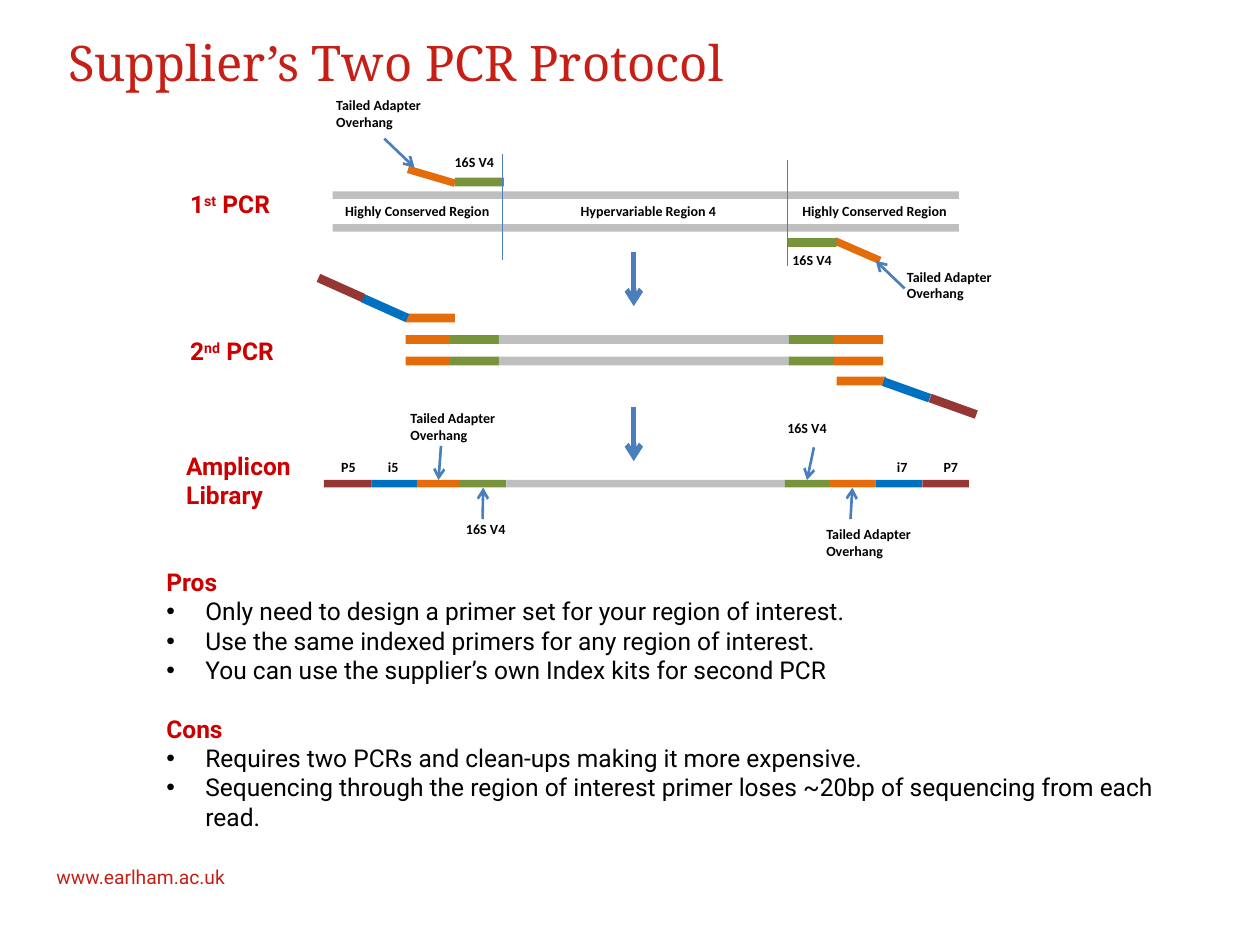
import pptx
import pptx.util
import pptx.dml.color
import pptx.enum.shapes
import pptx.enum.text
import pptx.oxml.ns
from lxml import etree


class Theme:
    red, title, black, line = "CC0000", "C61F16", "000000", "4B7EBC"
    bar = {"grey": "BFBFBF", "orange": "E46C0A", "green": "77933C",
           "blue": "0070C0", "maroon": "953735"}
    serif, sans, small = "Noto Serif", "Roboto", "Calibri"
    big, body, foot, tag = 28, 14, 11, 8


# Content: all places are in columns and rows of a 100 by 75 grid
COLS, ROWS = 100, 75
TITLE = "Supplier’s Two PCR Protocol"
SITE = "www.earlham.ac.uk"
NOTES = [
    ("Pros", ["Only need to design a primer set for your region of interest.",
              "Use the same indexed primers for any region of interest.",
              "You can use the supplier’s own Index kits for second PCR"]),
    ("Cons", ["Requires two PCRs and clean-ups making it more expensive.",
              "Sequencing through the region of interest primer loses ~20bp "
              "of sequencing from each read."]),
]

# Step names: parts (text, raised?), left, top, width, height
STEPS = [
    ([[("1", 0), ("st", 1), (" PCR", 0)]], 14.1, 14.5, 9.2, 3.4),
    ([[("2", 0), ("nd", 1), (" PCR", 0)]], 14.1, 26.2, 9.2, 3.4),
    ([[("Amplicon", 0)], [("Library", 0)]], 13.8, 35.3, 12.3, 5.7),
]

# Strands: left, tops, height, then pieces (colour, width) end to end
INSERT = [("orange", 3.5), ("green", 3.9), ("grey", 23),
          ("green", 3.6), ("orange", 3.9)]
LIBRARY = [("maroon", 3.8), ("blue", 3.6), ("orange", 3.4), ("green", 3.7),
           ("grey", 22.1), ("green", 3.5), ("orange", 3.7), ("blue", 3.7),
           ("maroon", 3.7)]
STRANDS = [
    (26.4, (15.2, 17.8), 0.6, [("grey", 49.7)]),
    (32.2, (26.6, 28.3), 0.7, INSERT),
    (25.7, (38.1,), 0.6, LIBRARY),
]

# Primers: colour, left, top, height, turn; all of one width
PRIMER = 3.9
PRIMERS = [
    ("orange", 32.3, 13.7, 0.6, 16.4), ("green", 36.1, 14.1, 0.7, 0),
    ("orange", 66.1, 19.6, 0.6, 23.5), ("green", 62.5, 18.9, 0.7, 0),
    ("orange", 32.2, 24.9, 0.7, 0), ("orange", 66.4, 29.9, 0.7, 0),
    ("blue", 28.6, 24.1, 0.7, 24.1), ("maroon", 25.1, 22.5, 0.7, 24.1),
    ("blue", 70, 30.6, 0.7, 19.7), ("maroon", 73.7, 31.9, 0.7, 19.7),
]

# Tags: text, width, height, places
TAGS = [
    ("Tailed Adapter Overhang", 13, 3.7,
     [(25.7, 7.2), (71, 20.8), (31.6, 32), (64.6, 41.2)]),
    ("16S V4", 6.3, 2.4,
     [(35.1, 11.7), (61.9, 19.5), (36, 40.8), (61.5, 32.8)]),
    ("Highly Conserved Region", 14.2, 2.4, [(26.4, 15.6), (62.7, 15.6)]),
    ("Hypervariable Region 4", 21.3, 2.4, [(45.1, 15.6)]),
    ("P5", 4.9, 2.4, [(26.1, 35.9)]), ("i5", 4.9, 2.4, [(29.8, 35.9)]),
    ("i7", 4.9, 2.4, [(70.2, 35.9)]), ("P7", 4.9, 2.4, [(73.9, 35.9)]),
]

# Lines: start, end, weight, arrow?
LINES = [
    ((39.9, 12.2), (39.9, 20.6), 0.75, False),
    ((62.5, 12.7), (62.5, 21.1), 0.75, False),
    ((30.5, 11), (32.9, 13.3), 1.5, True),
    ((71.8, 22.9), (69.5, 20.7), 1.5, True),
    ((50.3, 20), (50.3, 24.3), 3, True),
    ((50.3, 32.3), (50.3, 36.6), 3, True),
]
# Pointers: start, library piece, side of that piece
POINTS = [((35, 35.4), 2, 0), ((38.3, 41.2), 3, 2),
          ((64.6, 35.5), 5, 0), ((67.5, 41.2), 6, 2)]

deck = pptx.Presentation()
deck.slide_width = pptx.util.Inches(10)
deck.slide_height = pptx.util.Inches(7.5)
slide = deck.slides.add_slide(deck.slide_layouts[1])
shapes = slide.shapes


def gx(col):
    return round(deck.slide_width * col / COLS)


def gy(row):
    return round(deck.slide_height * row / ROWS)


def rgb(code):
    return pptx.dml.color.RGBColor.from_string(code)


def style(par, face, size, tint, bold=False):
    font = par.font
    font.name, font.size, font.bold = face, pptx.util.Pt(size), bold
    font.color.rgb = rgb(tint)


def place(box, x, y, w, h):
    box.left, box.top, box.width, box.height = gx(x), gy(y), gx(w), gy(h)
    frame = box.text_frame
    frame.word_wrap = True
    frame.auto_size = pptx.enum.text.MSO_AUTO_SIZE.NONE
    frame.vertical_anchor = pptx.enum.text.MSO_ANCHOR.TOP
    return frame


def text(x, y, w, h):
    return place(shapes.add_textbox(0, 0, 0, 0), x, y, w, h)


def bar(hue, x, y, w, h, turn=0):
    rect = shapes.add_shape(pptx.enum.shapes.MSO_SHAPE.RECTANGLE,
                            gx(x), gy(y), gx(w), gy(h))
    rect.rotation = turn
    rect.shadow.inherit = False
    rect.fill.solid()
    rect.fill.fore_color.rgb = rgb(Theme.bar[hue])
    rect.line.fill.background()
    return rect


def link(start, end, weight, arrow):
    line = shapes.add_connector(pptx.enum.shapes.MSO_CONNECTOR.STRAIGHT,
                                gx(start[0]), gy(start[1]),
                                gx(end[0]), gy(end[1]))
    line.line.color.rgb = rgb(Theme.line)
    line.line.width = pptx.util.Pt(weight)
    qn = pptx.oxml.ns.qn
    if arrow:
        etree.SubElement(line.line._get_or_add_ln(), qn("a:tailEnd"), type="arrow")
    etree.SubElement(line._element.spPr, qn("a:effectLst"))
    return line


def bullet(par, mark):
    props = par._p.get_or_add_pPr()
    inset = pptx.util.Inches(0.31) if mark else 0
    props.set("marL", str(inset))
    props.set("indent", str(-inset))
    kind = "a:buChar" if mark else "a:buNone"
    item = etree.SubElement(props, pptx.oxml.ns.qn(kind))
    if mark:
        item.set("char", mark)


# Title and site
head = place(shapes.title, 4.4, 2.1, 91.3, 12.5)
head.text = TITLE
head.paragraphs[0].alignment = pptx.enum.text.PP_ALIGN.LEFT
style(head.paragraphs[0], Theme.serif, Theme.big, Theme.title)
foot = text(3.5, 68.2, 19.7, 2.9)
foot.text = SITE
style(foot.paragraphs[0], Theme.sans, Theme.foot, Theme.title)

# Strands and primers
for left, tops, high, parts in STRANDS:
    for top in tops:
        x, row = left, []
        for hue, wide in parts:
            row.append(bar(hue, x, top, wide, high))
            x += wide
for hue, x, y, high, turn in PRIMERS:
    bar(hue, x, y, PRIMER, high, turn)

# Lines, then pointers joined to the library strand, the last row drawn
for item in LINES:
    link(*item)
for start, piece, side in POINTS:
    link(start, start, 1.5, True).end_connect(row[piece], side)

# Tags and step names
for words, wide, high, spots in TAGS:
    for x, y in spots:
        frame = text(x, y, wide, high)
        frame.text = words
        style(frame.paragraphs[0], Theme.small, Theme.tag, Theme.black, True)
for rows, *spot in STEPS:
    frame = text(*spot)
    for n, parts in enumerate(rows):
        par = frame.add_paragraph() if n else frame.paragraphs[0]
        for words, raised in parts:
            run = par.add_run()
            run.text = words
            if raised:
                run._r.get_or_add_rPr().set("baseline", "30000")
        style(par, Theme.sans, Theme.body, Theme.red, True)

# Pros and cons
notes = place(slide.placeholders[1], 12.2, 44.5, 82.7, 25.2)
par = notes.paragraphs[0]
for n, (name, points) in enumerate(NOTES):
    for k, words in enumerate([name] + points):
        if n or k:
            par = notes.add_paragraph()
        par.text = words
        par.space_before = pptx.util.Pt(16.5 if n and not k else 0)
        bullet(par, "•" if k else "")
        style(par, Theme.sans, Theme.body,
              Theme.black if k else Theme.red, not k)

deck.save("out.pptx")
